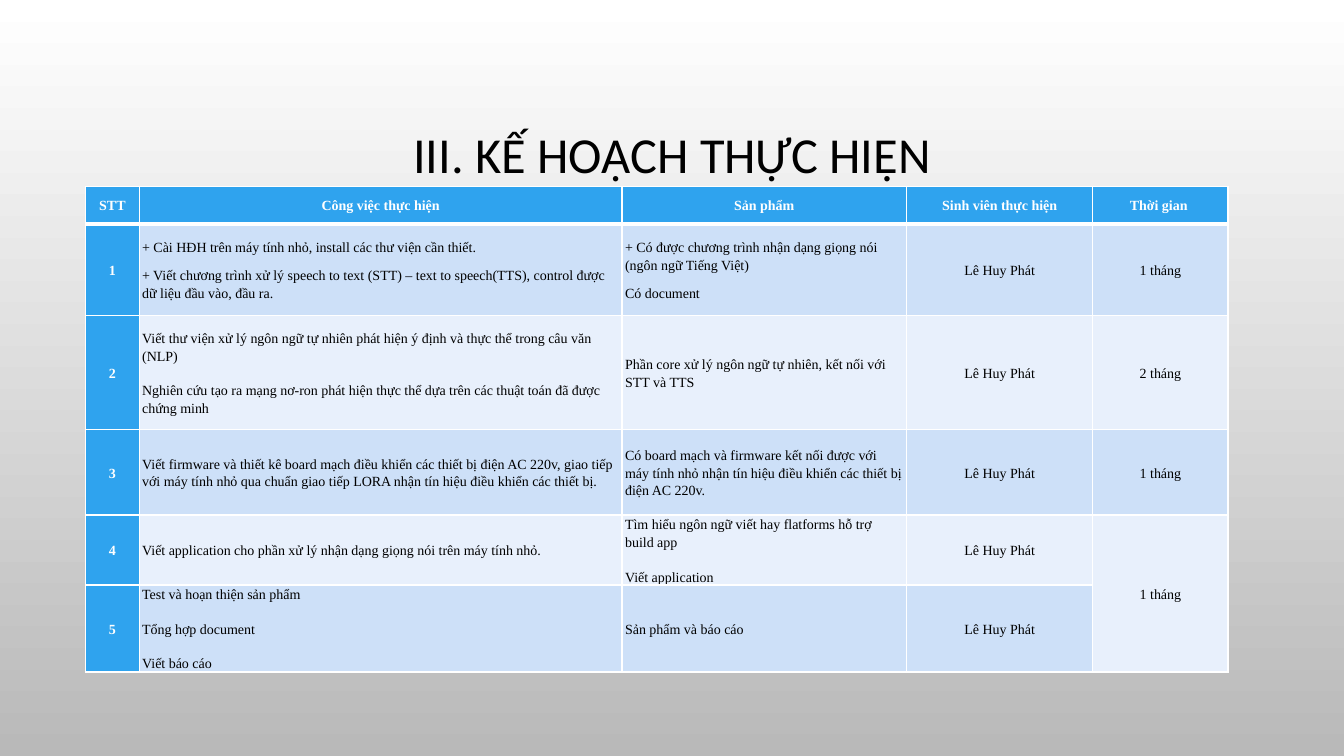
import pptx
import pptx.dml.color
import pptx.enum.text
import pptx.oxml
import pptx.oxml.ns
import pptx.util
from dataclasses import dataclass
from pptx.util import Inches, Pt

TITLE = "III. KẾ HOẠCH THỰC HIỆN"
HEADINGS = ["STT", "Công việc thực hiện", "Sản phẩm", "Sinh viên thực hiện", "Thời gian "]
STUDENT = "Lê Huy Phát"

# Tasks, products and duration of each step; no duration continues the one above.
STEPS = [
    (["+ Cài HĐH trên máy tính nhỏ, install các thư viện cần thiết.",
      "+ Viết chương trình xử lý speech to text (STT) – text to speech(TTS), control được "
      "dữ liệu đầu vào, đầu ra."],
     ["+ Có được chương trình nhận dạng giọng nói (ngôn ngữ Tiếng Việt)", "Có document"],
     "1 tháng"),
    (["Viết thư viện xử lý ngôn ngữ tự nhiên phát hiện ý định và thực thể trong câu văn (NLP)",
      "Nghiên cứu tạo ra mạng nơ-ron phát hiện thực thể dựa trên các thuật toán đã được "
      "chứng minh"],
     ["Phần core xử lý ngôn ngữ tự nhiên, kết nối với STT và TTS"],
     "2 tháng"),
    (["Viết firmware và thiết kê board mạch điều khiển các thiết bị điện AC 220v, giao tiếp "
      "với máy tính nhỏ qua chuẩn giao tiếp LORA nhận tín hiệu điều khiển các thiết bị."],
     ["Có board mạch và firmware kết nối được với máy tính nhỏ nhận tín hiệu điều khiển "
      "các thiết bị điện AC 220v."],
     "1 tháng"),
    (["Viết application cho phần xử lý nhận dạng giọng nói trên máy tính nhỏ."],
     ["Tìm hiểu ngôn ngữ viết hay flatforms hỗ trợ build app", "Viết application"],
     "1 tháng"),
    (["Test và hoạn thiện sản phẩm", "Tổng hợp document", "Viết báo cáo"],
     ["Sản phẩm và báo cáo"],
     ""),
]
COLUMN_WIDTHS = [0.53, 4.79, 2.82, 1.85, 1.34]
ROW_HEIGHTS = [0.37, 0.91, 1.13, 0.85, 0.68, 0.84]
CENTERED_COLUMNS = {0, 3, 4}
COMPACT_ROW = 1


@dataclass(frozen=True)
class Theme:
    title_font: str = "Calibri"
    table_font: str = "Times New Roman"
    title_size: float = 36
    table_size: float = 10
    text: str = "000000"
    white: str = "FFFFFF"
    shade: str = "B9B9B9"
    accent: str = "2FA3EE"
    bands: tuple = ("E8F0FC", "CDE0F8")
    border: float = 1
    header_border: float = 3


THEME = Theme()


def rgb(value):
    return pptx.dml.color.RGBColor.from_string(value)


def format_paragraph(para, font, size, color, bold, centered, line_spacing):
    align = pptx.enum.text.PP_ALIGN
    para.alignment = align.CENTER if centered else align.LEFT
    para.line_spacing = line_spacing
    for span in para.runs:
        span.font.name = font
        span.font.size = Pt(size)
        span.font.bold = bold
        span.font.color.rgb = rgb(color)


def set_border(cell, side, width):
    """Draw one white cell edge; side is L, R, T or B."""
    line = pptx.oxml.parse_xml(
        f'<a:ln{side} {pptx.oxml.ns.nsdecls("a")} w="{Pt(width)}"><a:solidFill>'
        f'<a:srgbClr val="{THEME.white}"/></a:solidFill></a:ln{side}>')
    cell._tc.get_or_add_tcPr().append(line)


def fill_cell(cell, lines, row, column):
    emphasized = row == 0 or column == 0
    cell.margin_left = cell.margin_right = Inches(0.03)
    cell.margin_top = cell.margin_bottom = 0
    cell.vertical_anchor = pptx.enum.text.MSO_ANCHOR.MIDDLE
    cell.text_frame.text = "\n".join(lines)
    for index, para in enumerate(cell.text_frame.paragraphs):
        para.space_before = Pt(7.2 if index else 0)
        para.space_after = Pt(0 if row == COMPACT_ROW and index == 0 else 4.8)
        format_paragraph(para, THEME.table_font, THEME.table_size,
                         THEME.white if emphasized else THEME.text,
                         emphasized, row == 0 or column in CENTERED_COLUMNS, 1.15)
    for side in "LRTB":
        under_header = (row, side) in {(0, "B"), (1, "T")}
        set_border(cell, side, THEME.header_border if under_header else THEME.border)
    cell.fill.solid()
    cell.fill.fore_color.rgb = rgb(THEME.accent if emphasized else THEME.bands[row % 2])


def add_background(page):
    fill = page.background.fill
    fill.gradient()
    fill.gradient_angle = 270
    for stop, position, color in zip(fill.gradient_stops, (0, 1), (THEME.white, THEME.shade)):
        stop.position = position
        stop.color.rgb = rgb(color)


def add_title(page):
    box = page.shapes.title
    box.left, box.top, box.width, box.height = map(Inches, (1, 0.68, 11.33, 1.75))
    box.text_frame.text = TITLE
    box.text_frame.vertical_anchor = pptx.enum.text.MSO_ANCHOR.MIDDLE
    format_paragraph(box.text_frame.paragraphs[0], THEME.title_font, THEME.title_size,
                     THEME.text, False, True, 0.9)


def add_plan(page):
    rows = [[[heading] for heading in HEADINGS]]
    for number, (tasks, products, duration) in enumerate(STEPS, start=1):
        rows.append([[str(number)], tasks, products, [STUDENT], [duration]])
    table = page.shapes.add_table(
        len(rows), len(HEADINGS), Inches(0.85), Inches(1.85),
        Inches(sum(COLUMN_WIDTHS)), Inches(sum(ROW_HEIGHTS))).table
    for column, width in zip(table.columns, COLUMN_WIDTHS):
        column.width = Inches(width)
    for row, height in zip(table.rows, ROW_HEIGHTS):
        row.height = Inches(height)
    for row, cells in enumerate(rows):
        for column, lines in enumerate(cells):
            fill_cell(table.cell(row, column), lines, row, column)
    last_row, last_column = len(rows) - 1, len(HEADINGS) - 1
    table.cell(last_row - 1, last_column).merge(table.cell(last_row, last_column))


def main():
    deck = pptx.Presentation()
    deck.slide_width, deck.slide_height = Inches(13.33), Inches(7.5)
    page = deck.slides.add_slide(deck.slide_layouts.get_by_name("Title Only"))
    add_background(page)
    add_title(page)
    add_plan(page)
    deck.save("out.pptx")


if __name__ == "__main__":
    main()
